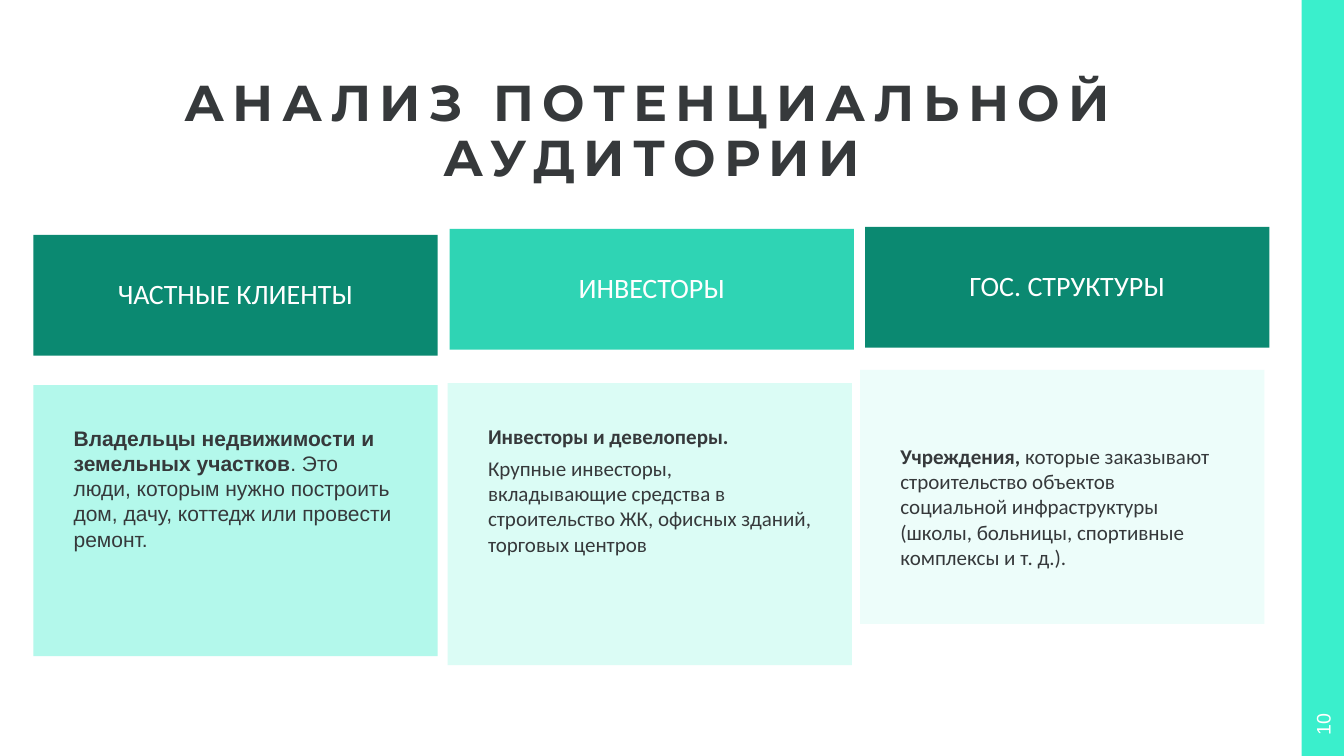
from lxml import etree
from pptx import Presentation
from pptx.dml.color import RGBColor
from pptx.enum.shapes import MSO_SHAPE
from pptx.enum.text import MSO_ANCHOR, PP_ALIGN
from pptx.oxml.ns import qn
from pptx.util import Inches, Pt

WHITE = RGBColor(0xFF, 0xFF, 0xFF)
INK = RGBColor(0x36, 0x39, 0x3B)
SIDEBAR = RGBColor(0x3A, 0xEF, 0xCC)
DARK_GREEN = RGBColor(0x0B, 0x89, 0x71)
GREEN = RGBColor(0x11, 0xCE, 0xA9)
MINT = RGBColor(0x89, 0xF5, 0xE0)
LIGHT_MINT = RGBColor(0xB0, 0xF9, 0xEB)
PALE_MINT = RGBColor(0xD8, 0xFC, 0xF5)

CARD_WIDTH = 4.01
HEADER_HEIGHT = 1.2
HEADER_INSET = 0.32
BODY_INSET = 0.4

presentation = Presentation()
presentation.slide_width = Inches(13.33)
presentation.slide_height = Inches(7.5)
slide = presentation.slides.add_slide(presentation.slide_layouts[6])


def add_panel(left, top, width, height, color, opacity=100):
    shape = slide.shapes.add_shape(
        MSO_SHAPE.RECTANGLE, Inches(left), Inches(top), Inches(width), Inches(height))
    shape.shadow.inherit = False
    shape.fill.solid()
    shape.fill.fore_color.rgb = color
    shape.line.fill.background()
    if opacity < 100:
        color_element = next(shape.element.spPr.iter(qn("a:srgbClr")))
        etree.SubElement(color_element, qn("a:alpha"), val=str(opacity * 1000))
    return shape


def set_frame(frame, anchor, inset):
    frame.word_wrap = True
    frame.vertical_anchor = anchor
    frame.margin_left = frame.margin_right = Inches(inset)
    frame.margin_top = frame.margin_bottom = Inches(inset)


def_columns = [
    {
        "header": ("ЧАСТНЫЕ КЛИЕНТЫ", 0.33, 2.33, DARK_GREEN, 100),
        "body": (0.33, 3.82, 2.69, MINT, 64),
        "font": "Arial",
        "top_inset": BODY_INSET,
        "paragraphs": [[
            ("Владельцы недвижимости и земельных участков", True),
            (". Это люди, которым нужно построить дом, дачу, коттедж или провести ремонт.", False),
        ]],
    },
    {
        "header": ("ИНВЕСТОРЫ", 4.46, 2.27, GREEN, 87),
        "body": (4.44, 3.8, 2.8, LIGHT_MINT, 45),
        "font": "Calibri",
        "top_inset": BODY_INSET,
        "paragraphs": [
            [("Инвесторы и девелоперы.", True)],
            [("Крупные инвесторы, вкладывающие средства в строительство ЖК, "
              "офисных зданий, торговых центров", False)],
        ],
    },
    {
        "header": ("ГОС. СТРУКТУРЫ", 8.58, 2.25, DARK_GREEN, 100),
        "body": (8.53, 3.67, 2.52, PALE_MINT, 44),
        "font": "Calibri",
        "top_inset": 0.73,
        "paragraphs": [[
            ("Учреждения, ", True),
            ("которые заказывают строительство объектов социальной инфраструктуры "
             "(школы, больницы, спортивные комплексы и т. д.).", False),
        ]],
    },
]

add_panel(12.91, 0, 0.42, 7.5, SIDEBAR)

for column in def_columns:
    heading, left, top, color, opacity = column["header"]
    header = add_panel(left, top, CARD_WIDTH, HEADER_HEIGHT, color, opacity)
    set_frame(header.text_frame, MSO_ANCHOR.MIDDLE, HEADER_INSET)
    paragraph = header.text_frame.paragraphs[0]
    paragraph.text = heading
    paragraph.alignment = PP_ALIGN.CENTER
    paragraph.line_spacing = 0.9
    paragraph.font.name = "Calibri"
    paragraph.font.size = Pt(20)
    paragraph.font.color.rgb = WHITE

    left, top, height, color, opacity = column["body"]
    body = add_panel(left, top, CARD_WIDTH, height, color, opacity)
    frame = body.text_frame
    set_frame(frame, MSO_ANCHOR.TOP, BODY_INSET)
    frame.margin_top = Inches(column["top_inset"])
    for index, runs in enumerate(column["paragraphs"]):
        paragraph = frame.add_paragraph() if index else frame.paragraphs[0]
        paragraph.alignment = PP_ALIGN.LEFT
        paragraph.space_after = Pt(5)
        paragraph.font.name = column["font"]
        paragraph.font.size = Pt(15)
        paragraph.font.color.rgb = INK
        for text, bold in runs:
            run = paragraph.add_run()
            run.text = text
            run.font.bold = bold

title = slide.shapes.add_textbox(Inches(0.93), Inches(0.96), Inches(11.07), Inches(0.71))
set_frame(title.text_frame, MSO_ANCHOR.MIDDLE, 0)
paragraph = title.text_frame.paragraphs[0]
paragraph.alignment = PP_ALIGN.CENTER
paragraph.line_spacing = 0.9
paragraph.font.name = "Montserrat"
paragraph.font.size = Pt(36)
paragraph.font.bold = True
paragraph.font.color.rgb = INK
run = paragraph.add_run()
run.text = "АНАЛИЗ ПОТЕНЦИАЛЬНОЙ АУДИТОРИИ"
run.font._element.set("spc", "600")

page_number = slide.shapes.add_textbox(Inches(12.81), Inches(6.98), Inches(0.62), Inches(0.42))
page_number.rotation = 270
set_frame(page_number.text_frame, MSO_ANCHOR.MIDDLE, 0.05)
paragraph = page_number.text_frame.paragraphs[0]
paragraph.text = "10"
paragraph.alignment = PP_ALIGN.CENTER
paragraph.font.name = "Arial"
paragraph.font.size = Pt(14)
paragraph.font.color.rgb = WHITE

presentation.save("out.pptx")
